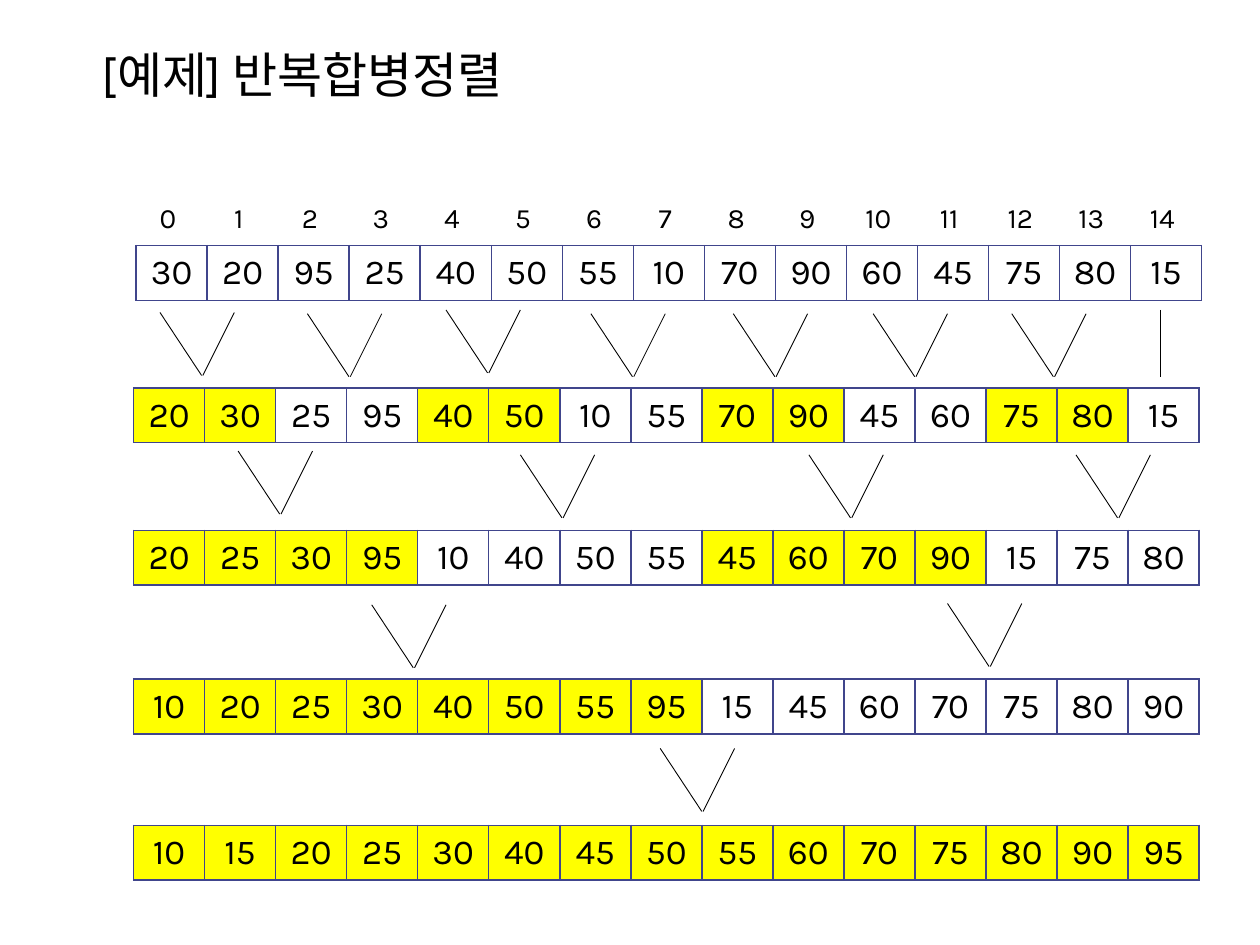
from lxml.etree import SubElement
from pptx import Presentation
from pptx.dml.color import RGBColor
from pptx.enum.shapes import MSO_CONNECTOR as Connector
from pptx.enum.text import MSO_ANCHOR as Anchor, PP_ALIGN as Align
from pptx.oxml.ns import qn
from pptx.util import Inches, Pt

BLACK = RGBColor(0x00, 0x00, 0x00)
YELLOW = RGBColor(0xFF, 0xFF, 0x00)
BORDER = RGBColor(0x40, 0x45, 0x8C)

NUMBERS = [30, 20, 95, 25, 40, 50, 55, 10, 70, 90, 60, 45, 75, 80, 15]
ROW_TOPS = [1.95, 3.08, 4.21, 5.39, 6.55]
TABLE_WIDTH = 8.46

# Left and top of each merge mark
MERGE_MARKS = [
    (1.27, 2.48), (2.44, 2.49), (3.54, 2.46), (4.69, 2.49),
    (5.82, 2.49), (6.93, 2.49), (8.03, 2.49),
    (1.89, 3.58), (4.13, 3.61), (6.42, 3.61), (8.54, 3.61),
    (2.95, 4.80), (7.52, 4.79),
    (5.24, 5.94),
]


def set_attributes(target, values):
    for name, value in values.items():
        setattr(target, name, value)


def write_text(paragraph, text, size):
    run = paragraph.add_run()
    run.text = text
    set_attributes(run.font, {"name": "Karla", "size": Pt(size)})
    run.font.color.rgb = BLACK


def add_title(slide, text):
    box = slide.shapes.add_textbox(Inches(0.71), Inches(0.28), Inches(8.5), Inches(0.67))
    set_attributes(box.text_frame, {"word_wrap": True, "vertical_anchor": Anchor.MIDDLE})
    paragraph = box.text_frame.paragraphs[0]
    paragraph.line_spacing = 0.9
    write_text(paragraph, text, 28)


def add_cell_borders(cell):
    properties = cell._tc.get_or_add_tcPr()
    for index, side in enumerate(("a:lnL", "a:lnR", "a:lnT", "a:lnB")):
        line = properties.makeelement(qn(side), {"w": str(Pt(1))})
        fill = SubElement(line, qn("a:solidFill"))
        SubElement(fill, qn("a:srgbClr"), val=str(BORDER))
        properties.insert(index, line)


def add_number_row(slide, left, top, height, values, size, anchor, run_length=0, bordered=True):
    """Add a one-row table; every other run of run_length cells is yellow."""
    frame = slide.shapes.add_table(
        1, len(values), Inches(left), Inches(top), Inches(TABLE_WIDTH), Inches(height)
    )
    table = frame.table
    set_attributes(table, {"first_row": False, "horz_banding": False})
    for index, value in enumerate(values):
        table.columns[index].width = Inches(TABLE_WIDTH / len(values))
        cell = table.cell(0, index)
        cell.vertical_anchor = anchor
        if run_length and index // run_length % 2 == 0:
            cell.fill.solid()
            cell.fill.fore_color.rgb = YELLOW
        else:
            cell.fill.background()
        if bordered:
            add_cell_borders(cell)
        paragraph = cell.text_frame.paragraphs[0]
        paragraph.alignment = Align.CENTER
        write_text(paragraph, str(value), size)


def add_line(slide, start, end):
    points = [Inches(length) for length in (*start, *end)]
    connector = slide.shapes.add_connector(Connector.STRAIGHT, *points)
    connector.line.width = Pt(0.5)
    connector.line.color.rgb = BLACK
    SubElement(connector._element.spPr, qn("a:effectLst"))


def add_merge_mark(slide, left, top):
    bottom = top + 0.5
    add_line(slide, (left, top), (left + 0.33, bottom))
    add_line(slide, (left + 0.59, top), (left + 0.34, bottom))


def sort_runs(values, run_length):
    """Sort each run of run_length values by itself."""
    return [
        value
        for start in range(0, len(values), run_length)
        for value in sorted(values[start:start + run_length])
    ]


def main():
    presentation = Presentation()
    set_attributes(presentation, {"slide_width": Inches(10), "slide_height": Inches(7.5)})
    slide = presentation.slides.add_slide(presentation.slide_layouts[6])

    add_title(slide, "[예제] 반복합병정렬")
    add_number_row(slide, 1.05, 1.55, 0.37, range(len(NUMBERS)), 16, Anchor.BOTTOM, bordered=False)
    add_number_row(slide, 1.08, ROW_TOPS[0], 0.43, NUMBERS, 20, Anchor.MIDDLE)
    for step, top in enumerate(ROW_TOPS[1:], start=1):
        run_length = 2 ** step
        values = sort_runs(NUMBERS, run_length)
        add_number_row(slide, 1.06, top, 0.43, values, 20, Anchor.MIDDLE, run_length)

    for left, top in MERGE_MARKS:
        add_merge_mark(slide, left, top)
    add_line(slide, (9.21, 2.46), (9.21, 2.99))

    presentation.save("out.pptx")


if __name__ == "__main__":
    main()
